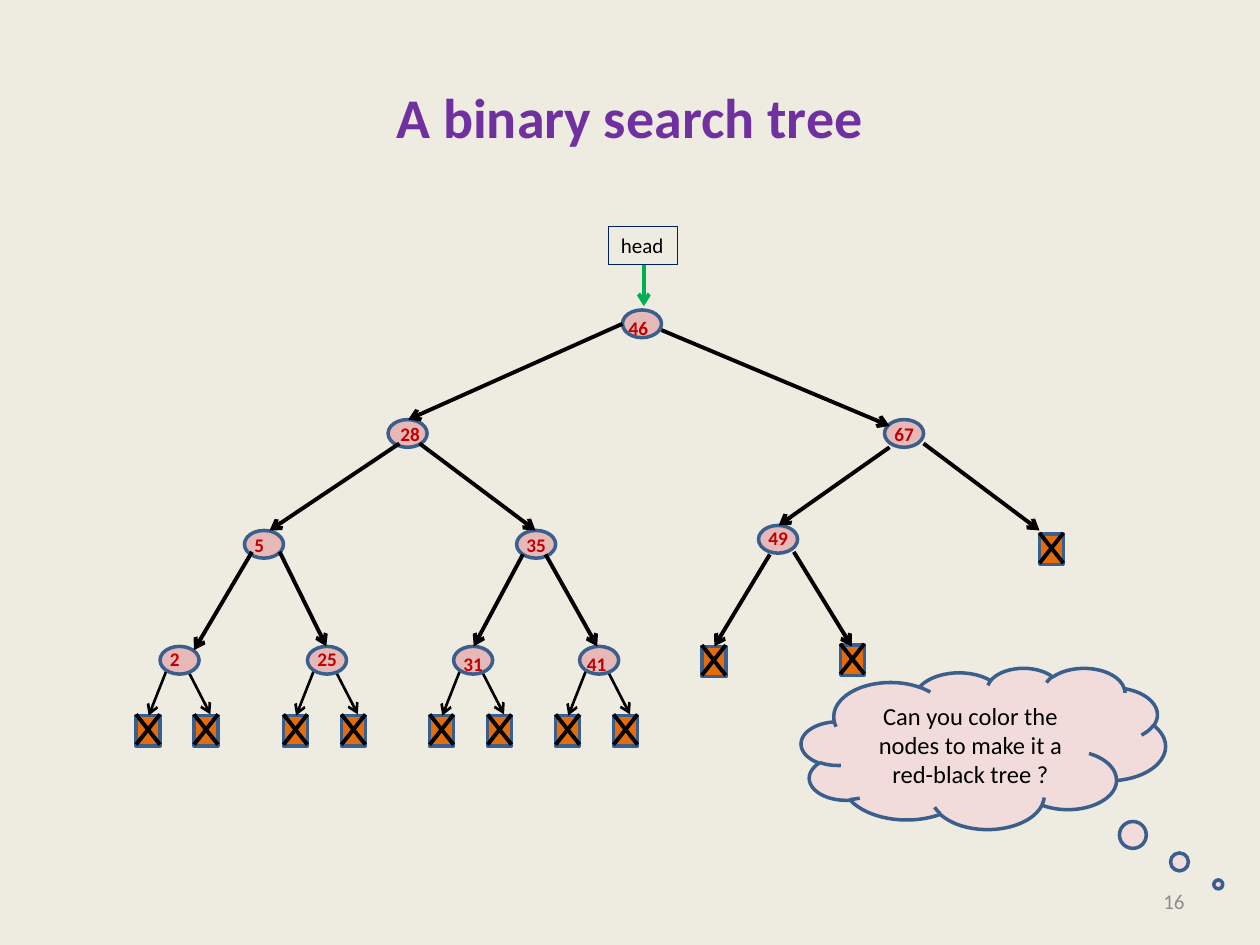
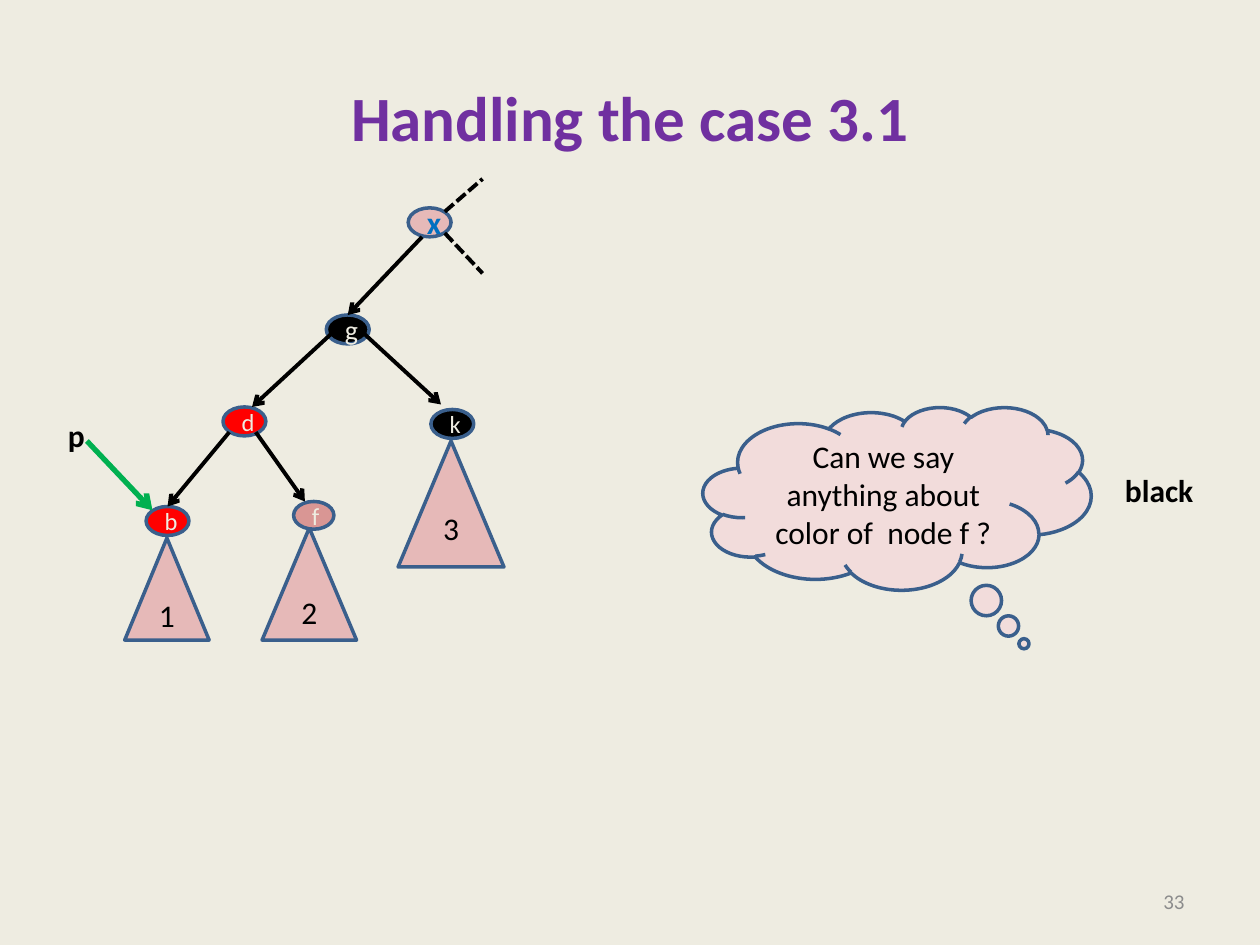
from dataclasses import dataclass

from pptx import Presentation
from pptx.dml.color import RGBColor
from pptx.enum.dml import MSO_LINE
from pptx.enum.shapes import MSO_CONNECTOR, MSO_SHAPE
from pptx.enum.text import MSO_ANCHOR, PP_ALIGN
from pptx.oxml.ns import qn
from pptx.shapes.autoshape import Shape
from pptx.slide import Slide
from pptx.util import Inches, Pt
from lxml.etree import SubElement

FONT = "Calibri"
COLORS = {
    "paper": "EEECE1", "title": "7030A0", "page": "8C8C8C", "edge": "3A5F8C",
    "black": "000000", "red": "FF0000", "pink": "E6B9B8", "rose": "D99694",
    "cloud": "F2DCDB", "leaf": "E46C0A", "key": "C00000", "green": "00B050",
    "navy": "002060", "blue": "0070C0",
}


@dataclass
class Style:
    size: float
    color: str = "black"
    bold: bool = False
    align: PP_ALIGN = PP_ALIGN.CENTER
    anchor: MSO_ANCHOR = MSO_ANCHOR.MIDDLE


@dataclass
class Key:
    """A tree node: its number, its place and the shift of its label."""
    text: str
    left: float
    top: float
    dx: float = -0.02
    dy: float = -0.03


@dataclass
class Arrow:
    x1: float
    y1: float
    x2: float
    y2: float
    width: float = 2.25
    color: str = "black"
    head: bool = True
    dashed: bool = False


@dataclass
class Form:
    """A filled shape with an optional text."""
    kind: MSO_SHAPE
    left: float
    top: float
    width: float
    height: float
    fill: str
    text: str = ""
    style: Style | None = None


# ---- shared drawing ----
def rgb(name: str) -> RGBColor:
    return RGBColor.from_string(COLORS[name])


def write(shape: Shape, text: str, style: Style) -> None:
    frame = shape.text_frame
    frame.text = text
    frame.vertical_anchor = style.anchor
    for par in frame.paragraphs:
        par.alignment = style.align
        for run in par.runs:
            font = run.font
            font.name, font.size, font.bold = FONT, Pt(style.size), style.bold
            font.color.rgb = rgb(style.color)


def label(slide: Slide, text: str, left: float, top: float, width: float,
          height: float, style: Style, wrap: bool = False) -> Shape:
    box = slide.shapes.add_textbox(
        Inches(left), Inches(top), Inches(width), Inches(height))
    write(box, text, style)
    box.text_frame.word_wrap = wrap
    return box


def draw_form(slide: Slide, form: Form) -> Shape:
    shape = slide.shapes.add_shape(
        form.kind, Inches(form.left), Inches(form.top),
        Inches(form.width), Inches(form.height))
    shape.shadow.inherit = False
    shape.fill.solid()
    shape.fill.fore_color.rgb = rgb(form.fill)
    shape.line.color.rgb = rgb("edge")
    shape.line.width = Pt(2)
    if form.style:
        write(shape, form.text, form.style)
    return shape


def draw_arrow(slide: Slide, arrow: Arrow) -> None:
    link = slide.shapes.add_connector(
        MSO_CONNECTOR.STRAIGHT, Inches(arrow.x1), Inches(arrow.y1),
        Inches(arrow.x2), Inches(arrow.y2))
    link.line.color.rgb = rgb(arrow.color)
    link.line.width = Pt(arrow.width)
    if arrow.dashed:
        link.line.dash_style = MSO_LINE.SQUARE_DOT
    if arrow.head:
        SubElement(link.line._get_or_add_ln(), qn("a:tailEnd"), type="arrow")
    SubElement(link._element.spPr, qn("a:effectLst"))


def draw_cloud(slide: Slide, form: Form, tip: tuple[float, float]) -> None:
    cloud = draw_form(slide, form)
    cloud.adjustments[0], cloud.adjustments[1] = tip


def new_slide(deck: Presentation, title: str, size: float, page: str) -> Slide:
    slide = deck.slides.add_slide(deck.slide_layouts[6])
    slide.background.fill.solid()
    slide.background.fill.fore_color.rgb = rgb("paper")
    label(slide, title, 0.5, 0.3, 9, 1.25, Style(size, "title", True), True)
    label(slide, page, 7.17, 6.95, 2.33, 0.4,
          Style(12, "page", align=PP_ALIGN.RIGHT), True)
    return slide


# ---- slide 1: search tree ----
LOW = 5.13  # top of the lowest row of keys
KEYS = [
    Key("46", 4.94, 2.46, -0.05, 0),
    Key("28", 3.08, 3.33, 0), Key("67", 7.02, 3.33),
    Key("5", 1.94, 4.21), Key("35", 4.1, 4.21), Key("49", 6.02, 4.17, dy=-0.04),
    Key("2", 1.27, LOW, dy=-0.04), Key("25", 2.44, LOW, dy=-0.04),
    Key("31", 3.6, LOW, dy=0), Key("41", 4.6, LOW, -0.04, 0),
]
LINKS = [
    Arrow(4.94, 2.57, 3.24, 3.33), Arrow(5.25, 2.62, 7.06, 3.38),
    Arrow(3.17, 3.52, 2.14, 4.21), Arrow(3.33, 3.52, 4.25, 4.21),
    Arrow(7.06, 3.55, 6.18, 4.17), Arrow(7.33, 3.52, 8.25, 4.21),
    Arrow(2, 4.38, 1.54, 5.16), Arrow(2.22, 4.38, 2.59, LOW),
    Arrow(4.15, 4.4, 3.76, LOW), Arrow(4.33, 4.4, 4.74, LOW),
    Arrow(6.11, 4.4, 5.67, LOW), Arrow(6.3, 4.38, 6.76, LOW),
    Arrow(5.11, 2.1, 5.11, 2.43, color="green"),
]


def draw_leaf(slide: Slide, left: float, top: float) -> None:
    """An empty child: a box that is crossed out."""
    wide, high = 0.19, 0.24
    draw_form(slide, Form(MSO_SHAPE.RECTANGLE, left, top, wide, high, "leaf"))
    up, right = top - 0.01, left + wide
    draw_arrow(slide, Arrow(right, up, left, up + high, head=False))
    draw_arrow(slide, Arrow(left, up, right, up + high, head=False))


def search_tree(deck: Presentation) -> None:
    slide = new_slide(deck, "A binary search tree", 32, "16")

    # Leaves
    for key in KEYS:
        if key.top == LOW:
            x = key.left
            draw_leaf(slide, x - 0.19, 5.68)
            draw_arrow(slide, Arrow(x + 0.06, 5.3, x - 0.09, 5.68, 1.5))
            draw_leaf(slide, x + 0.27, 5.68)
            draw_arrow(slide, Arrow(x + 0.21, 5.3, x + 0.4, 5.67, 1.5))
    for left, top in [(5.57, 5.13), (6.67, 5.12), (8.25, 4.24)]:
        draw_leaf(slide, left, top)

    # Nodes, links and numbers
    for key in KEYS:
        draw_form(slide, Form(
            MSO_SHAPE.OVAL, key.left, key.top, 0.31, 0.22, "pink"))
    for link in LINKS:
        draw_arrow(slide, link)
    style = Style(11, "key", True, PP_ALIGN.LEFT, MSO_ANCHOR.TOP)
    for key in KEYS:
        label(slide, key.text, key.left + key.dx, key.top + key.dy,
              0.2 + 0.08 * len(key.text), 0.29, style)

    # Head pointer
    head = label(slide, "head", 4.83, 1.8, 0.55, 0.3,
                 Style(12, align=PP_ALIGN.LEFT, anchor=MSO_ANCHOR.TOP), True)
    head.line.color.rgb = rgb("navy")
    head.line.width = Pt(0.75)

    draw_cloud(slide, Form(
        MSO_SHAPE.CLOUD_CALLOUT, 6.36, 5.3, 2.89, 1.28, "cloud",
        "Can you color the nodes to make it a red-black tree ?", Style(14)),
        (0.645, 0.843))


# ---- slide 2: case 3.1 ----
def ball(left: float, top: float, fill: str, text: str,
         style: Style = Style(14, "paper"), width: float = 0.34,
         height: float = 0.23) -> Form:
    return Form(MSO_SHAPE.OVAL, left, top, width, height, fill, text, style)


def subtree(left: float, top: float, width: float, height: float,
            text: str) -> Form:
    return Form(MSO_SHAPE.ISOSCELES_TRIANGLE, left, top, width, height,
                "pink", text, Style(18))


def case_slide(deck: Presentation) -> None:
    slide = new_slide(deck, "Handling the case 3.1", 36, "33")

    # Nodes
    for form in [
        ball(2.59, 2.5, "black", "g", Style(16, "paper")),
        ball(1.77, 3.23, "red", "d"),
        ball(3.24, 1.65, "pink", "x", Style(18, "blue", True)),
        ball(1.16, 4.02, "red", "b"),
        ball(3.42, 3.25, "black", "k"),
    ]:
        draw_form(slide, form)

    # Subtrees
    draw_form(slide, subtree(2.08, 4.19, 0.75, 0.89, "2"))
    draw_form(slide, subtree(0.99, 4.27, 0.67, 0.81, "1"))
    third = draw_form(slide, subtree(3.16, 3.5, 0.84, 1, "3"))
    third.text_frame.margin_bottom = Inches(0.17)
    draw_form(slide, ball(2.33, 3.98, "rose", "f", width=0.32, height=0.22))

    # Links
    for link in [
        Arrow(3.35, 1.88, 2.76, 2.5),
        Arrow(2.65, 2.63, 2, 3.23), Arrow(2.87, 2.63, 3.5, 3.21),
        Arrow(1.82, 3.43, 1.33, 4.02), Arrow(2.03, 3.43, 2.42, 3.98),
        Arrow(3.53, 1.68, 3.83, 1.42, head=False, dashed=True),
        Arrow(3.53, 1.85, 3.83, 2.17, head=False, dashed=True),
        Arrow(0.69, 3.5, 1.21, 4.05, 3, "green"),
    ]:
        draw_arrow(slide, link)

    # Pointer name, question and answer
    style = Style(18, "black", True, PP_ALIGN.LEFT, MSO_ANCHOR.TOP)
    label(slide, "p", 0.44, 3.25, 0.34, 0.4, style)
    draw_cloud(slide, Form(
        MSO_SHAPE.CLOUD_CALLOUT, 5.58, 3.23, 3.08, 1.45, "cloud",
        "Can we say anything about color of  node f ?", Style(18)),
        (0.327, 0.796))
    label(slide, "black", 8.83, 3.69, 0.75, 0.4, style)


def main() -> None:
    deck = Presentation()
    deck.slide_width, deck.slide_height = Inches(10), Inches(7.5)
    search_tree(deck)
    case_slide(deck)
    deck.save("out.pptx")


if __name__ == "__main__":
    main()
